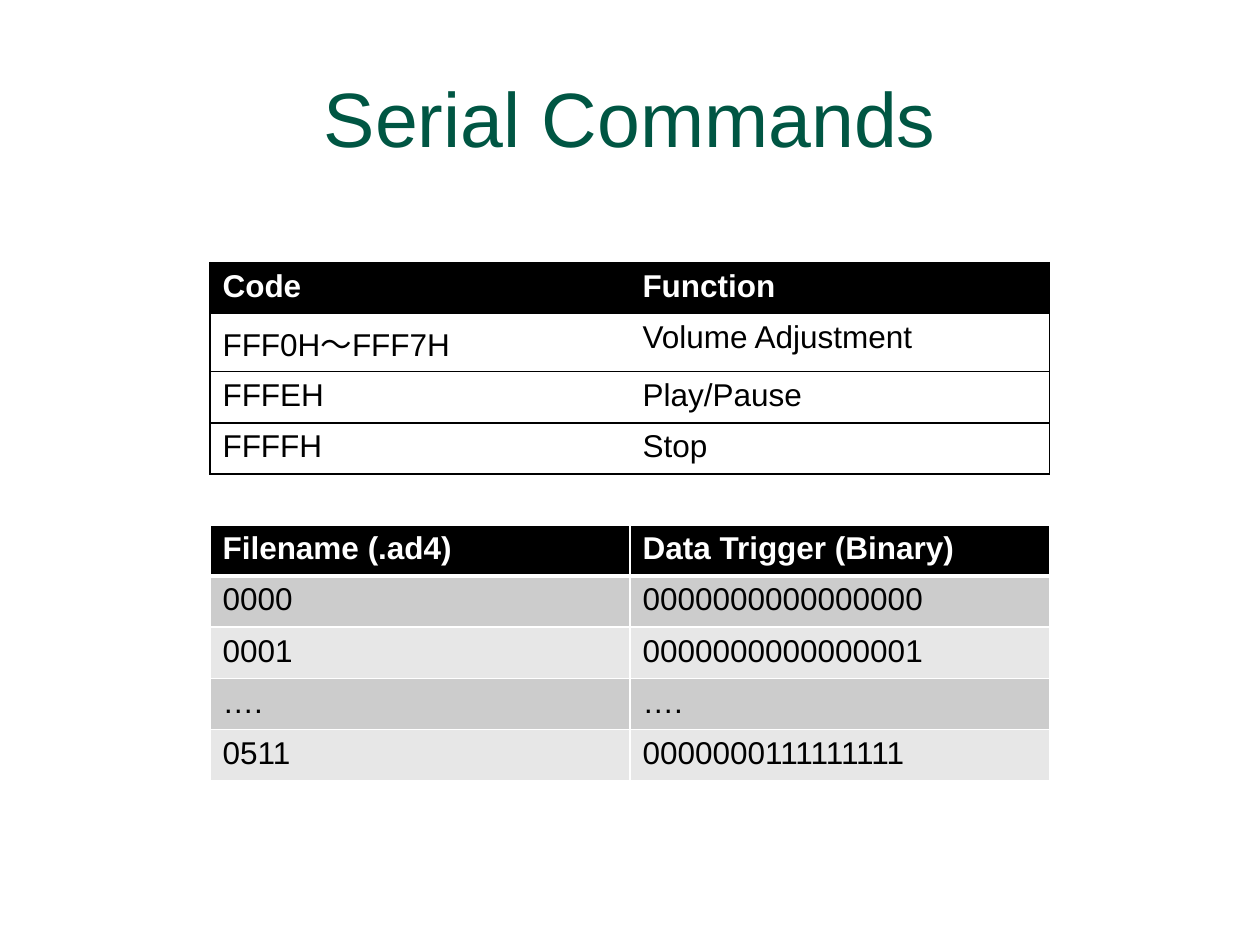
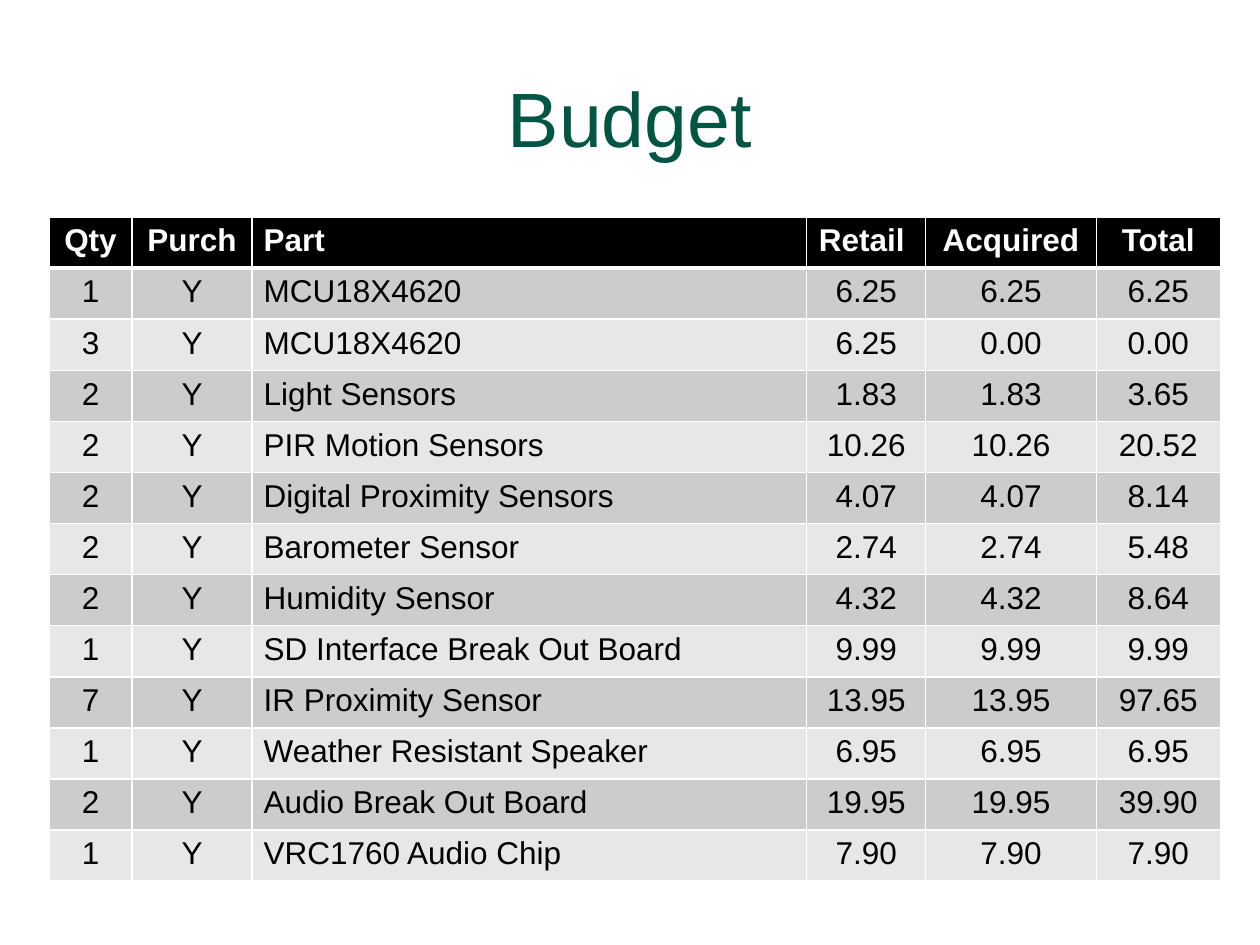
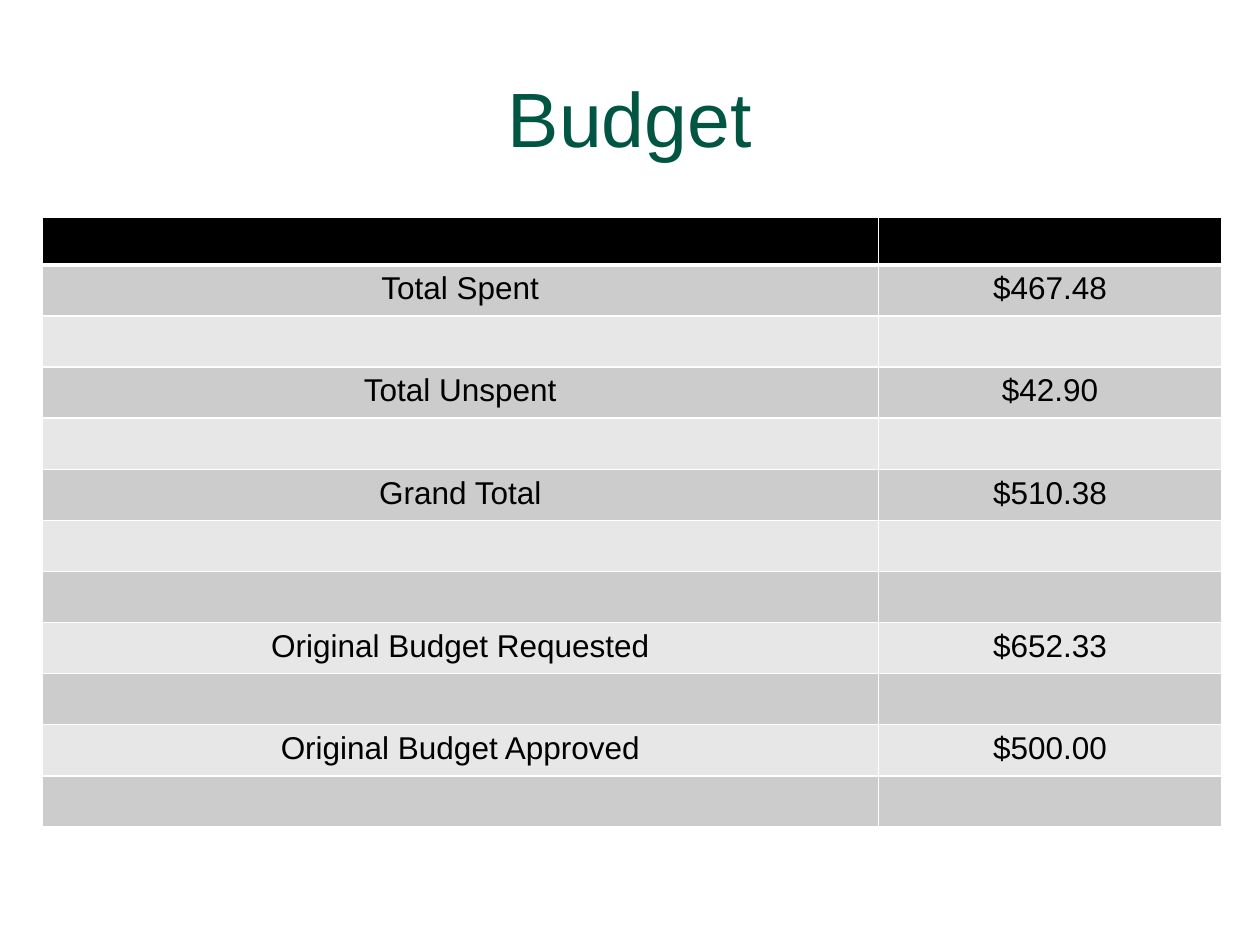
from pptx import Presentation as Deck
from pptx.dml.color import RGBColor as Color
from pptx.enum.text import MSO_ANCHOR as Anchor, PP_ALIGN as Align
from pptx.oxml.ns import qn
from pptx.util import Pt
from lxml.etree import SubElement as Sub

GREEN = Color(0x00, 0x56, 0x43)
BLACK = Color(0x00, 0x00, 0x00)
WHITE = Color(0xFF, 0xFF, 0xFF)
DARK = Color(0xCC, 0xCC, 0xCC)
LIGHT = Color(0xE7, 0xE7, 0xE7)
FONT = "Arial"
SIZE = 18
ROW = 29.2
TOP = 124

CODES = [
    ("Code", "Function"),
    ("FFF0H～FFF7H", "Volume Adjustment"),
    ("FFFEH", "Play/Pause"),
    ("FFFFH", "Stop"),
]
FILES = [
    ("Filename (.ad4)", "Data Trigger (Binary)"),
    ("0000", "0000000000000000"),
    ("0001", "0000000000000001"),
    ("….", "…."),
    ("0511", "0000000111111111"),
]
PARTS = [
    ("Qty", "Purch", "Part", "Retail ", "Acquired", "Total"),
    ("1", "Y", "MCU18X4620", "6.25", "6.25", "6.25"),
    ("3", "Y", "MCU18X4620", "6.25", "0.00", "0.00"),
    ("2", "Y", "Light Sensors", "1.83", "1.83", "3.65"),
    ("2", "Y", "PIR Motion Sensors", "10.26", "10.26", "20.52"),
    ("2", "Y", "Digital Proximity Sensors", "4.07", "4.07", "8.14"),
    ("2", "Y", "Barometer Sensor", "2.74", "2.74", "5.48"),
    ("2", "Y", "Humidity Sensor", "4.32", "4.32", "8.64"),
    ("1", "Y", "SD Interface Break Out Board", "9.99", "9.99", "9.99"),
    ("7", "Y", "IR Proximity Sensor", "13.95", "13.95", "97.65"),
    ("1", "Y", "Weather Resistant Speaker", "6.95", "6.95", "6.95"),
    ("2", "Y", "Audio Break Out Board", "19.95", "19.95", "39.90"),
    ("1", "Y", "VRC1760 Audio Chip", "7.90", "7.90", "7.90"),
]
GAP = ("", "")
SUMS = [
    GAP,
    ("Total Spent", "$467.48"), GAP,
    ("Total Unspent", "$42.90"), GAP,
    ("Grand Total", "$510.38"), GAP, GAP,
    ("Original Budget Requested", "$652.33"), GAP,
    ("Original Budget Approved", "$500.00"), GAP,
]


class Maker:
    """Hold the deck style and the current slide."""

    def __init__(self):
        self.deck = Deck()
        self.deck.slide_width, self.deck.slide_height = Pt(720), Pt(540)
        self.slide = None

    def page(self, title):
        self.slide = self.deck.slides.add_slide(self.deck.slide_layouts[5])
        head = self.slide.shapes.title
        head.left, head.top, head.width, head.height = Pt(36), Pt(21.6), Pt(648), Pt(90)
        head.text_frame.vertical_anchor = Anchor.MIDDLE
        self.text(head.text_frame, title, 44, GREEN, align=Align.CENTER)

    def text(self, frame, words, size, color, bold=False, align=Align.LEFT):
        para = frame.paragraphs[0]
        para.alignment = align
        if not words:
            end = Sub(para._p, qn("a:endParaRPr"), sz=str(size * 100))
            Sub(end, qn("a:latin"), typeface=FONT)
            return
        run = para.add_run()
        run.text = words
        font = run.font
        font.name, font.size, font.bold = FONT, Pt(size), bold
        font.color.rgb = color

    def edge(self, cell, side, color, width):
        line = Sub(cell._tc.get_or_add_tcPr(), qn("a:ln" + side), w=str(Pt(width)))
        if color is None:
            Sub(line, qn("a:noFill"))
        else:
            fill = Sub(line, qn("a:solidFill"))
            Sub(fill, qn("a:srgbClr"), val=str(color))

    def edges(self, cell, row, col, last, plain):
        for side in "LRTB":
            color, width = WHITE, 1
            if plain:
                inner = (side == "L" and col > 0) or (side == "R" and col < last)
                color, width = None if inner else BLACK, 0.75
            elif (row, side) in ((0, "B"), (1, "T")):
                width = 3
            self.edge(cell, side, color, width)

    def table(self, rows, left, top, cols, aligns="", head=ROW, pad=7.2, plain=False):
        last = len(cols) - 1
        frame = self.slide.shapes.add_table(
            len(rows), len(cols), Pt(left), Pt(top),
            Pt(sum(cols)), Pt(head + ROW * (len(rows) - 1)))
        grid = frame.table
        grid.horz_banding = False
        for col, width in zip(grid.columns, cols):
            col.width = Pt(width)
        for r, words in enumerate(rows):
            grid.rows[r].height = Pt(ROW if r else head)
            for c, word in enumerate(words):
                cell = grid.cell(r, c)
                cell.margin_left = cell.margin_right = Pt(pad)
                cell.margin_top = cell.margin_bottom = Pt(3.6)
                self.edges(cell, r, c, last, plain)
                if plain and r:
                    cell.fill.background()
                else:
                    cell.fill.solid()
                    cell.fill.fore_color.rgb = (DARK if r % 2 else LIGHT) if r else BLACK
                align = Align.CENTER if aligns[c:c + 1] == "c" else Align.LEFT
                self.text(cell.text_frame, word, SIZE, BLACK if r else WHITE, r == 0, align)


def main():
    make = Maker()
    make.page("Serial Commands")
    make.table(CODES, 120, 150, (240, 240), plain=True)
    make.table(FILES, 120, 300, (240, 240))
    make.page("Budget")
    make.table(PARTS, 28, TOP, (47.5, 68.5, 317, 68, 97.5, 71), "cclccc", pad=6.7)
    make.page("Budget")
    make.table(SUMS, 24, TOP, (478, 196), "cc", head=24)
    make.deck.save("out.pptx")


if __name__ == "__main__":
    main()
